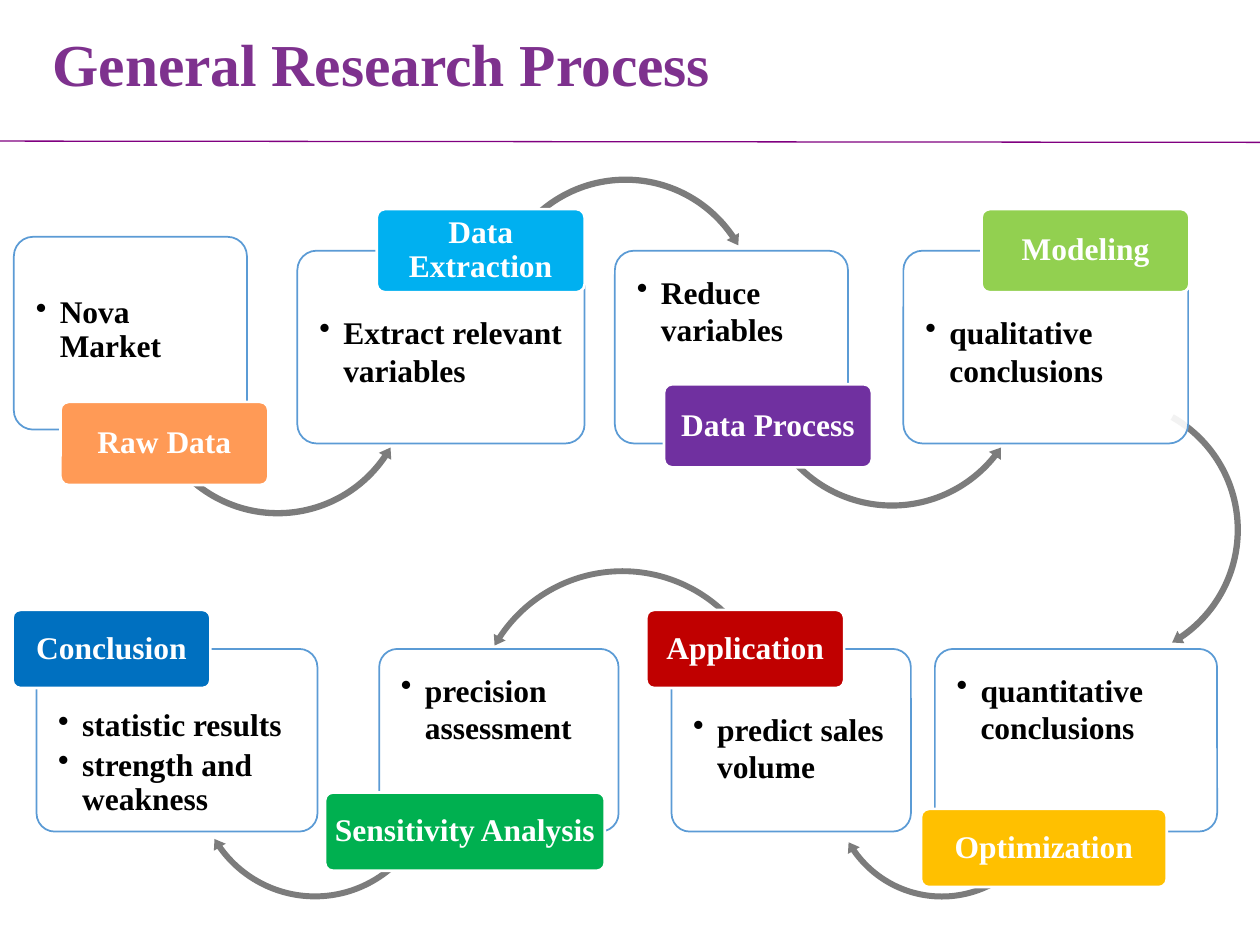
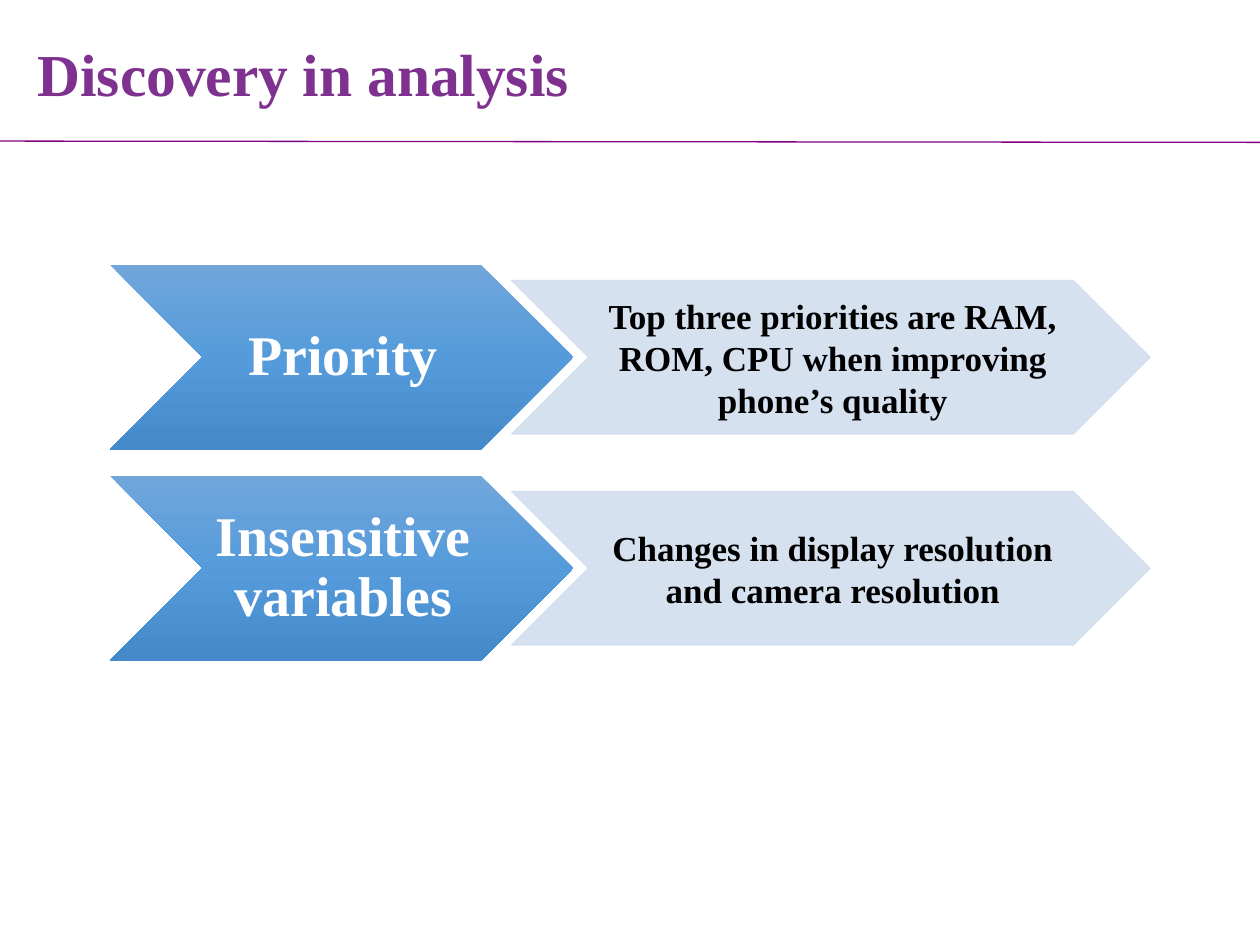
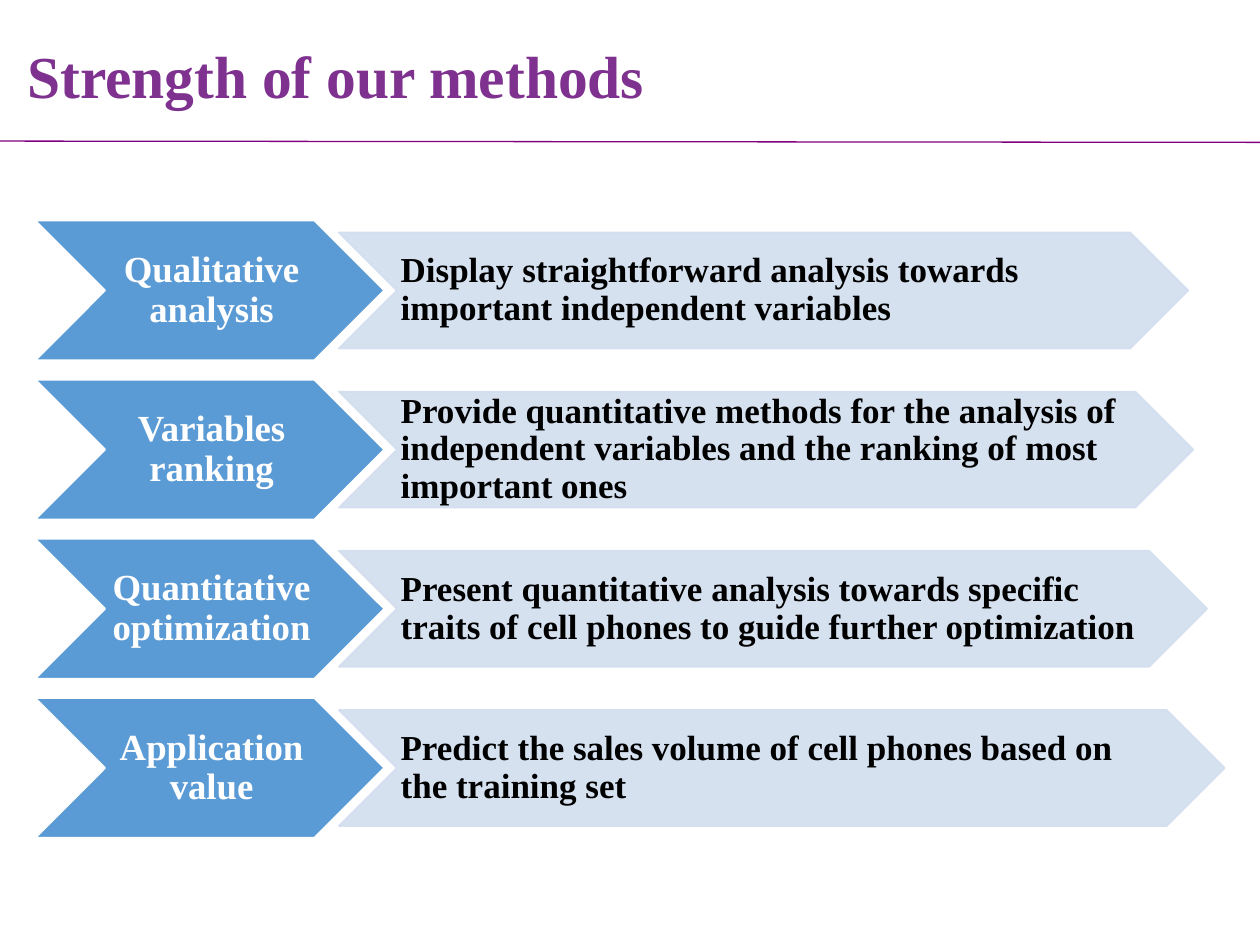
import copy
import lxml.etree
import pptx
import pptx.dml.color
import pptx.enum.shapes
import pptx.enum.text
import pptx.oxml
import pptx.oxml.ns
import pptx.util

PX = 9144
FONT = "Times New Roman"
COLORS = {
    "title": "7E318E", "rule": "800080", "white": "FFFFFF", "black": "000000",
    "arrow": "7C7C7C", "blue": "5B9BD5", "pale": "D2DEEF",
    "orange": "FF9A56", "sky": "00B0F0", "violet": "7030A0", "lime": "92D050",
    "amber": "FFC000", "red": "C00000", "green": "00B050", "navy": "0070C0",
    "shade_top": "71A6DB", "shade_middle": "559BDB", "shade_bottom": "448ACA",
}
SHAPES = pptx.enum.shapes.MSO_SHAPE
CENTER = pptx.enum.text.PP_ALIGN.CENTER
LEFT = pptx.enum.text.PP_ALIGN.LEFT
TOP = pptx.enum.text.MSO_ANCHOR.TOP
MIDDLE = pptx.enum.text.MSO_ANCHOR.MIDDLE

# Each step: badge label, badge colour, badge box, card box, card text top inset, line spacing, bullets
STEPS = [
    ("Raw Data", "orange", (48, 319, 165, 66), (11, 188, 185, 153), 43, 0.9, ["Nova Market"]),
    ("Data Extraction", "sky", (299, 166, 165, 66), (236, 199, 228, 153), 45, 1.0,
     ["Extract relevant variables"]),
    ("Data Process", "violet", (527, 305, 165, 66), (488, 199, 185, 153), 13, 1.0,
     ["Reduce variables"]),
    ("Modeling", "lime", (779, 166, 165, 66), (717, 199, 226, 153), 45, 1.0,
     ["qualitative conclusions"]),
    ("Optimization", "amber", (731, 642, 195, 62), (742, 515, 224, 145), 13, 1.0,
     ["quantitative conclusions"]),
    ("Application", "red", (513, 484, 157, 62), (533, 515, 190, 145), 44, 1.0,
     ["predict sales volume"]),
    ("Sensitivity Analysis", "green", (258, 629, 222, 62), (301, 515, 190, 145), 13, 1.0,
     ["precision assessment"]),
    ("Conclusion", "navy", (10, 484, 157, 62), (29, 515, 223, 145), 44, 0.9,
     ["statistic results", "strength and weakness"]),
]

# Each arrow: direction, left, top, diameter, rotation, head angle, end angle, start angle, thickness, head width
CLOCKWISE = SHAPES.CIRCULAR_ARROW
COUNTER = SHAPES.LEFT_CIRCULAR_ARROW
ARROWS = [
    (COUNTER, 112, 196, 217, 0, 2.73, 20.48, 90.25, 0.023, 0.026),
    (CLOCKWISE, 388, 137, 217, 0, 2.73, 195.52, 125.76, 0.023, 0.026),
    (COUNTER, 598, 187, 220, 0, 2.7, 23.07, 92.86, 0.022, 0.026),
    (CLOCKWISE, 771, 312, 217, 90, 2.73, 195.52, 125.76, 0.023, 0.026),
    (CLOCKWISE, 657, 536, 181, 0, 3.14, 87.1, 17.76, 0.026, 0.03),
    (COUNTER, 372, 448, 244, 0, 2.29, 128.05, 198.25, 0.019, 0.022),
    (CLOCKWISE, 152, 521, 196, 0, 2.89, 86.81, 17.21, 0.024, 0.028),
]

DISCOVERIES = [
    ("Priority", "Top three priorities are RAM, ROM, CPU when improving phone’s quality", 507),
    ("Insensitive variables", "Changes in display resolution and camera resolution", 507),
]
STRENGTHS = [
    ("Qualitative analysis",
     "Display straightforward analysis towards important independent variables", 674),
    ("Variables ranking",
     "Provide quantitative methods for the analysis of independent variables "
     "and the ranking of most important ones", 678),
    ("Quantitative optimization",
     "Present quantitative analysis towards specific traits of cell phones "
     "to guide further optimization", 689),
    ("Application value",
     "Predict the sales volume of cell phones based on the training set", 703),
]


def px(*lengths):
    return [round(length * PX) for length in lengths]


def color(name):
    return pptx.dml.color.RGBColor.from_string(COLORS[name])


def add_element(parent, tag, **attributes):
    element = lxml.etree.SubElement(parent, pptx.oxml.ns.qn(tag))
    for key, value in attributes.items():
        element.set(key, str(value))
    return element


def write(shape, paragraphs, size, ink, align=CENTER, anchor=MIDDLE,
          spacing=0.9, insets=(3, 1, 0, 1), bullets=False):
    frame = shape.text_frame
    frame.word_wrap = True
    frame.vertical_anchor = anchor
    (frame.margin_left, frame.margin_top,
     frame.margin_right, frame.margin_bottom) = px(*insets)
    frame.text = "\n".join(paragraphs)
    for para in frame.paragraphs:
        para.alignment = align
        para.line_spacing = spacing
        if bullets:
            para.space_after = pptx.util.Pt(3)
            properties = para._p.get_or_add_pPr()
            properties.set("marL", str(19 * PX))
            properties.set("indent", str(-19 * PX))
            add_element(properties, "a:buChar", char="•")
        for span in para.runs:
            span.font.name = FONT
            span.font.size = pptx.util.Pt(size)
            span.font.bold = True
            span.font.color.rgb = color(ink)


def add_block(page, kind, box, fill, line=None, width=1, clear=()):
    shape = page.shapes.add_shape(kind, *px(*box))
    shape.shadow.inherit = False
    shape.fill.solid()
    shape.fill.fore_color.rgb = color(fill)
    if line:
        shape.line.color.rgb = color(line)
        shape.line.width = pptx.util.Pt(width)
    else:
        shape.line.fill.background()
    for part in clear:
        for tint in shape._element.spPr.iterfind(part + "/a:srgbClr", pptx.oxml.ns._nsmap):
            add_element(tint, "a:alpha", val=90000)
    return shape


def add_page(deck, title, box):
    page = deck.slides.add_slide(deck.slide_layouts[6])
    rule = page.shapes.add_connector(
        pptx.enum.shapes.MSO_CONNECTOR.STRAIGHT, *px(0, 112, 1000, 113))
    rule.line.color.rgb = color("rule")
    rule.line.width = pptx.util.Pt(0.75)
    add_element(rule._element.spPr, "a:effectLst")
    heading = page.shapes.add_textbox(*px(*box))
    write(heading, [title], 34, "title", align=LEFT, insets=(10, 5, 10, 5))
    return page


def shade(shape):
    shape.fill.gradient()
    shape.fill.gradient_angle = 270
    stop_list = shape._element.spPr.find(".//" + pptx.oxml.ns.qn("a:gsLst"))
    stop_list.append(copy.deepcopy(stop_list[0]))
    names = ("shade_top", "shade_middle", "shade_bottom")
    for index, (stop, name) in enumerate(zip(shape.fill.gradient_stops, names)):
        stop.position = index / 2
        stop.color.rgb = color(name)


def add_process(page):
    for kind, left, top, size, rotation, head, end, start, thickness, flare in ARROWS:
        arrow = add_block(page, kind, (left, top, size, size), "arrow")
        arrow.rotation = rotation
        for index, value in enumerate((thickness, head, end, start, flare)):
            arrow.adjustments[index] = value
    for label, fill, badge_box, card_box, text_top, spacing, bullets in STEPS:
        card = add_block(page, SHAPES.ROUNDED_RECTANGLE, card_box, "white", "blue",
                         clear=["a:solidFill"])
        badge = add_block(page, SHAPES.ROUNDED_RECTANGLE, badge_box, fill, "white", 1.5)
        for shape in (card, badge):
            shape.adjustments[0] = 0.1
        write(card, bullets, 18, "black", LEFT, TOP, spacing, (13, text_top, 12, 12), True)
        write(badge, [label], 18, "white", insets=(4, 3, 4, 3))


def add_chevrons(page, rows, label_box, pitch, detail_left, detail_height, label_size,
                 detail_line, detail_align, detail_spacing, shaded):
    left, first_top, width, height = label_box
    for index, (label, detail, detail_width) in enumerate(rows):
        top = first_top + index * pitch
        head = add_block(page, SHAPES.CHEVRON, (left, top, width, height), "blue",
                         None if shaded else "white")
        if shaded:
            shade(head)
        write(head, [label], label_size, "white")
        detail_top = top + (height - detail_height) / 2
        body = add_block(page, SHAPES.CHEVRON,
                         (detail_left, detail_top, detail_width, detail_height),
                         "pale", "pale", detail_line, ["a:solidFill", "a:ln/a:solidFill"])
        write(body, [detail], 20, "black", detail_align, spacing=detail_spacing)


def main():
    deck = pptx.Presentation()
    deck.slide_width, deck.slide_height = px(1000, 750)
    add_process(add_page(deck, "General Research Process", (32, 22, 549, 62)))
    add_chevrons(add_page(deck, "Discovery in analysis", (20, -1, 900, 125)), DISCOVERIES,
                 (87, 210, 368, 147), 167.5, 406, 122, 32, 0.5, CENTER, 1.0, True)
    add_chevrons(add_page(deck, "Strength of our methods", (12, 0, 900, 125)), STRENGTHS,
                 (28, 175, 277, 111), 126.33, 269, 92, 21, 1, LEFT, 0.9, False)
    deck.save("out.pptx")


if __name__ == "__main__":
    main()
